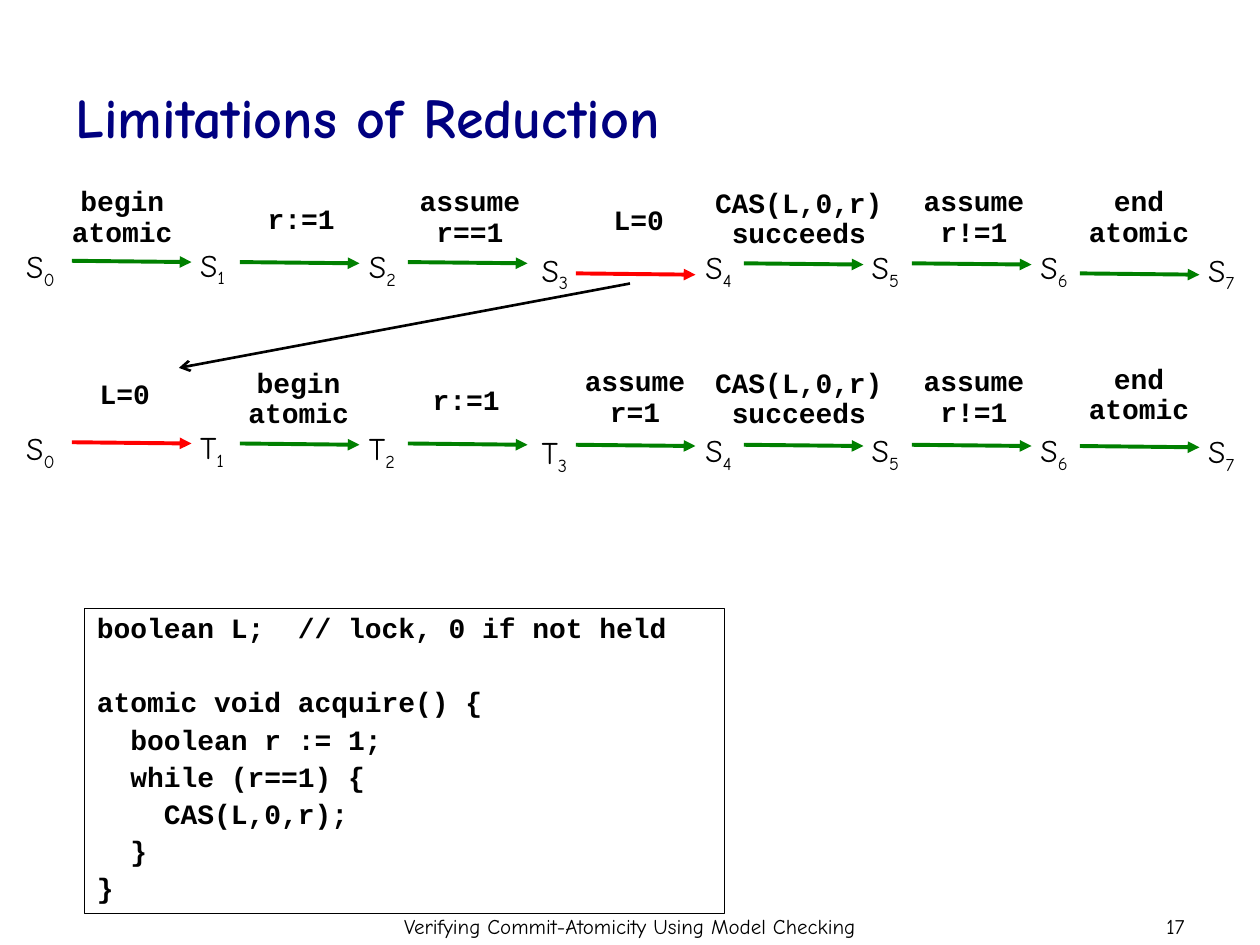
"""Build the slide on the limitations of reduction, with two execution traces and the code."""
from lxml import etree
from pptx import Presentation
from pptx.dml.color import RGBColor
from pptx.enum import shapes, text
from pptx.oxml import ns
from pptx.util import Inches, Pt

NAVY = RGBColor(0x00, 0x00, 0x80)
BLACK = RGBColor(0x00, 0x00, 0x00)
GREEN = RGBColor(0x00, 0x80, 0x00)
RED = RGBColor(0xFF, 0x00, 0x00)
WHITE = RGBColor(0xFF, 0xFF, 0xFF)

TITLE = {"name": "Comic Neue", "size": Pt(32), "bold": True}
STATE = {"name": "Comic Neue", "size": Pt(18)}
FOOTER = {"name": "Comic Neue", "size": Pt(12)}
CODE = {"name": "Courier New", "size": Pt(16), "bold": True}
LEFT, CENTER, RIGHT = text.PP_ALIGN.LEFT, text.PP_ALIGN.CENTER, text.PP_ALIGN.RIGHT

deck = Presentation()
deck.slide_width, deck.slide_height = Inches(10), Inches(7.5)
page = deck.slides.add_slide(deck.slide_layouts[5])


def write(box, lines, style, color=BLACK, align=LEFT, spacing=1.0, wrap=True):
    frame = box.text_frame
    frame.word_wrap = wrap
    frame.text = "\n".join(lines)
    for para in frame.paragraphs:
        para.alignment = align
        para.line_spacing = spacing
        for span in para.runs:
            for name, value in style.items():
                setattr(span.font, name, value)
            span.font.color.rgb = color
    return frame


def add_arrow(start, end, color, width, head):
    ends = [Inches(value) for value in (*start, *end)]
    arrow = page.shapes.add_connector(shapes.MSO_CONNECTOR.STRAIGHT, *ends)
    arrow.line.color.rgb = color
    arrow.line.width = Pt(width)
    etree.SubElement(arrow.line._get_or_add_ln(), ns.qn("a:tailEnd"), type=head)
    etree.SubElement(arrow._element.spPr, ns.qn("a:effectLst"))


title = page.shapes.title
title.left, title.top, title.width, title.height = map(Inches, (0.5, 0.3, 9, 1.25))
write(title, ["Limitations of Reduction"], TITLE, NAVY)
title.text_frame.vertical_anchor = text.MSO_ANCHOR.MIDDLE

STEP = 4 / 3
STATE_LEFTS = [0.11, 1.49, 2.83, 4.2, 5.5, 6.82, 8.16, 9.49]
TRACES = [
    (
        ["S0", "S1", "S2", "S3", "S4", "S5", "S6", "S7"],
        [1.77, 1.76, 1.77, 1.8, 1.78, 1.78, 1.78, 1.8],
        [
            (["begin", "atomic"], 0.97, 1.44, 2.07, GREEN),
            (["r:=1"], 2.39, 1.55, 2.08, GREEN),
            (["assume", "r==1"], 3.73, 1.44, 2.08, GREEN),
            (["L=0"], 5.07, 1.56, 2.17, RED),
            (["CAS(L,0,r)", "succeeds"], 6.34, 1.45, 2.09, GREEN),
            (["assume", "r!=1"], 7.73, 1.44, 2.09, GREEN),
            (["end", "atomic"], 9.04, 1.44, 2.17, GREEN),
        ],
    ),
    (
        ["S0", "T1", "T2", "T3", "S4", "S5", "S6", "S7"],
        [3.22, 3.21, 3.22, 3.25, 3.23, 3.23, 3.23, 3.24],
        [
            (["L=0"], 0.99, 2.94, 3.51, RED),
            (["begin", "atomic"], 2.37, 2.88, 3.52, GREEN),
            (["r:=1"], 3.7, 2.99, 3.52, GREEN),
            (["assume", "r=1"], 5.04, 2.87, 3.53, GREEN),
            (["CAS(L,0,r)", "succeeds"], 6.34, 2.88, 3.53, GREEN),
            (["assume", "r!=1"], 7.73, 2.87, 3.53, GREEN),
            (["end", "atomic"], 9.04, 2.85, 3.54, GREEN),
        ],
    ),
]

for states, tops, steps in TRACES:
    for state, left, top in zip(states, STATE_LEFTS, tops):
        box = page.shapes.add_textbox(Inches(left), Inches(top + 0.14), Inches(0.5), Inches(0.4))
        para = write(box, [state[0]], STATE).paragraphs[0]
        index = para.add_run()
        index.text = state[1]
        for name, value in STATE.items():
            setattr(index.font, name, value)
        index.font.color.rgb = BLACK
        index._r.get_or_add_rPr().set("baseline", "-25000")
    for column, (label, center, top, level, color) in enumerate(steps):
        width = 0.2 + 0.133 * max(map(len, label))
        height = 0.37 if len(label) == 1 else 0.58
        box = page.shapes.add_textbox(
            Inches(center - width / 2), Inches(top), Inches(width), Inches(height))
        write(box, label, CODE, align=CENTER, spacing=1.0 if len(label) == 1 else 0.9, wrap=False)
        start = 0.57 + STEP * column
        add_arrow((start, level), (start + 0.95, level + 0.01), color, 2.25, "triangle")

add_arrow((5, 2.25), (1.42, 2.92), BLACK, 1.5, "arrow")

listing = page.shapes.add_shape(
    shapes.MSO_SHAPE.RECTANGLE, Inches(0.67), Inches(4.83), Inches(5.08), Inches(2.42))
listing.shadow.inherit = False
listing.fill.solid()
listing.fill.fore_color.rgb = WHITE
listing.line.color.rgb = BLACK
listing.line.width = Pt(0.75)
code = write(listing, [
    "boolean L;  // lock, 0 if not held",
    "atomic void acquire() {",
    "  boolean r := 1;",
    "  while (r==1) {",
    "    CAS(L,0,r);",
    "  }",
    "}",
], CODE, spacing=0.9)
code.vertical_anchor = text.MSO_ANCHOR.TOP
for para in code.paragraphs[1:]:
    para.space_before = Pt(4)
code.paragraphs[1].space_before = Pt(25)

for words, left, width, align in [
    ("Verifying Commit-Atomicity Using Model Checking", 2, 6, CENTER),
    ("17", 7.17, 2.33, RIGHT),
]:
    box = page.shapes.add_textbox(Inches(left), Inches(7.2), Inches(width), Inches(0.3))
    write(box, [words], FOOTER, align=align)

deck.save("out.pptx")
